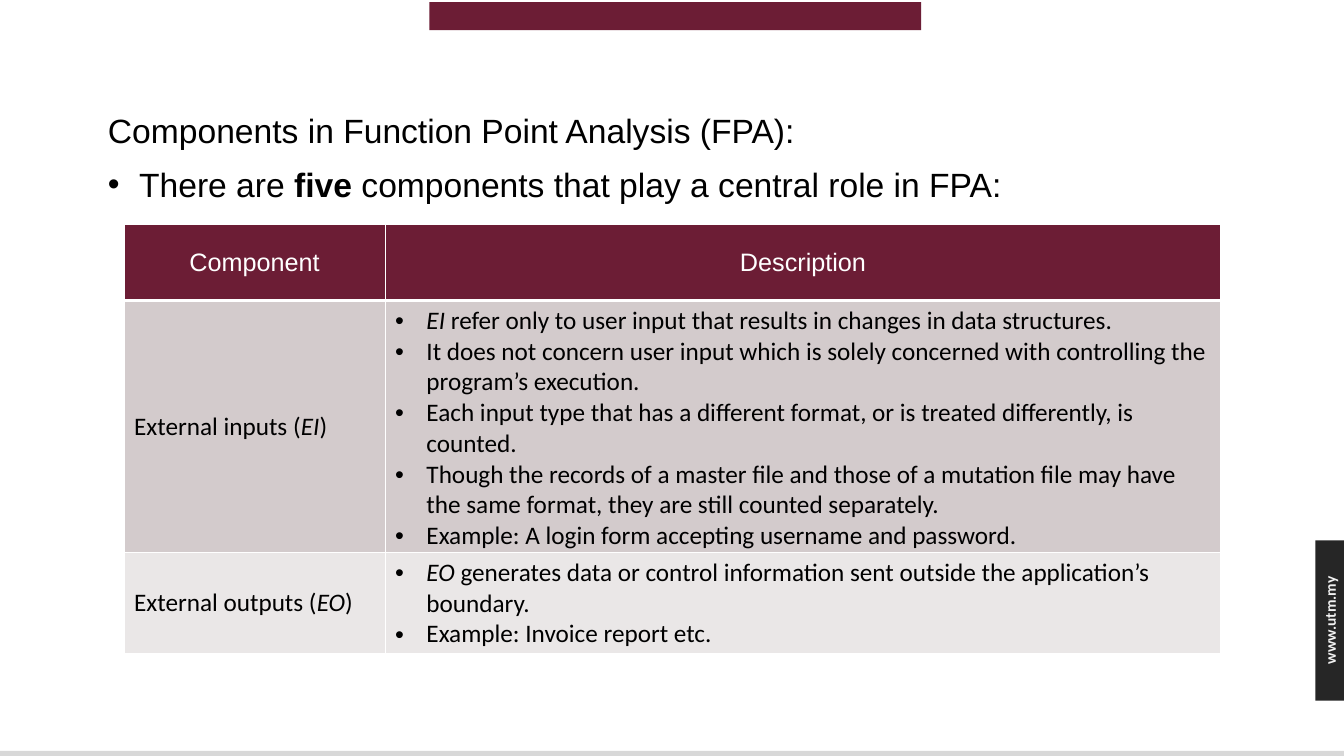
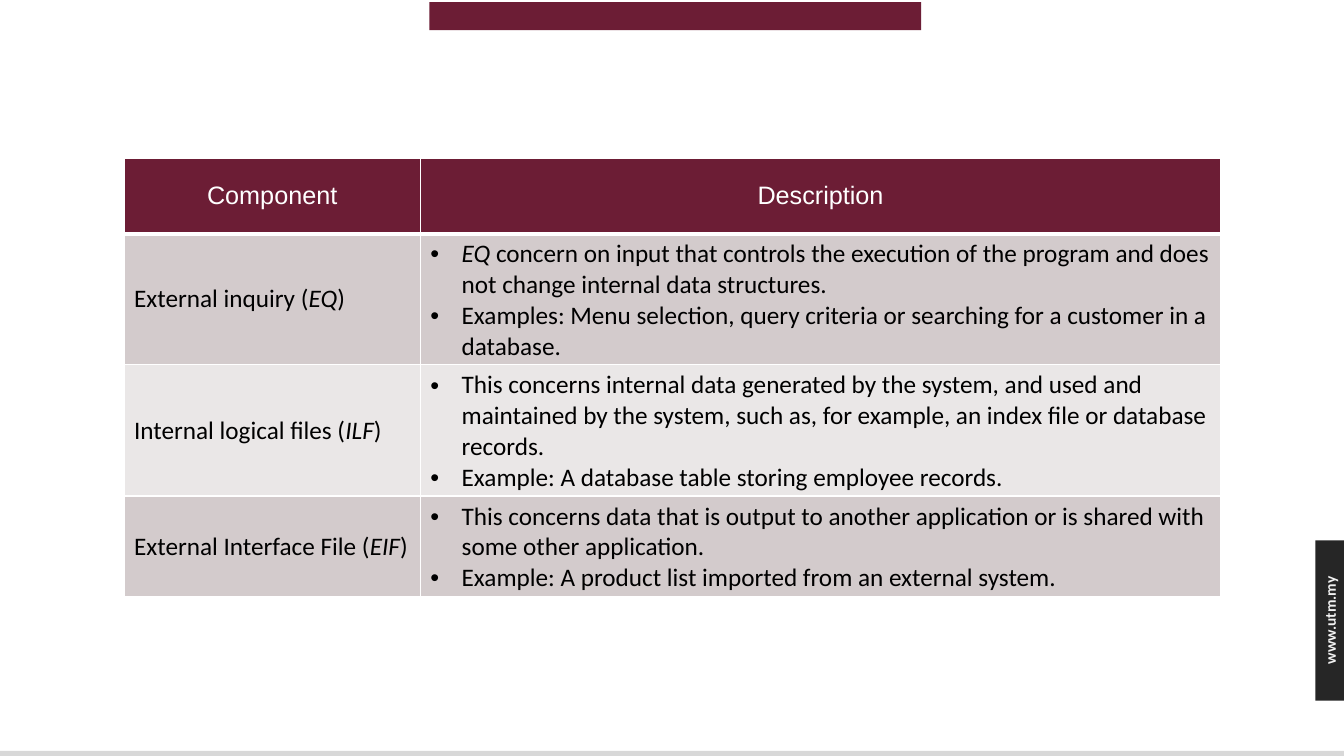
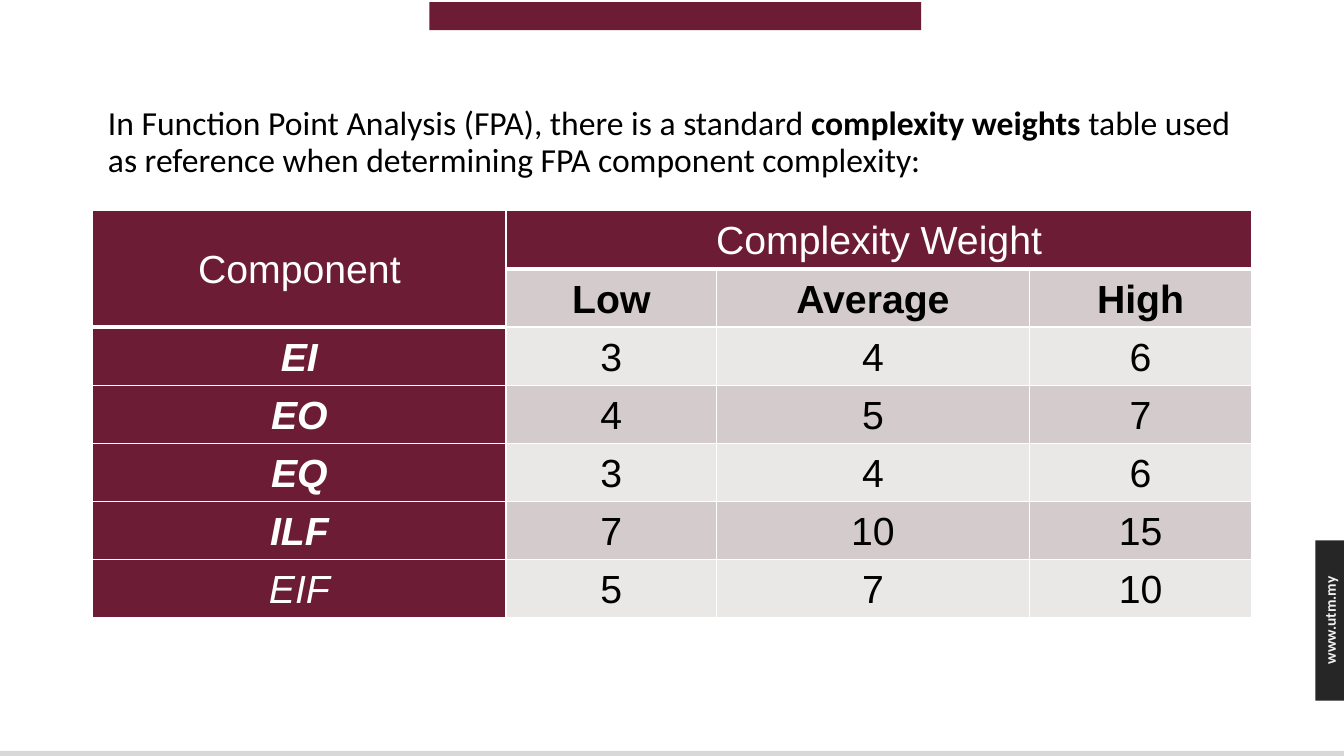
from dataclasses import dataclass, replace
from typing import Optional

from lxml import etree
from pptx import Presentation
from pptx.dml.color import RGBColor
from pptx.enum.shapes import MSO_SHAPE
from pptx.enum.text import MSO_ANCHOR, PP_ALIGN
from pptx.oxml.ns import qn
from pptx.util import Inches, Pt

RECTANGLE = MSO_SHAPE.RECTANGLE
MIDDLE = MSO_ANCHOR.MIDDLE
LEFT, CENTER, JUSTIFY = PP_ALIGN.LEFT, PP_ALIGN.CENTER, PP_ALIGN.JUSTIFY

WIDTH, HEIGHT = Inches(13.33), Inches(7.5)
COLORS = {
    "maroon": "6C1D35",
    "rose": "D3CBCC",
    "pale": "EAE7E7",
    "silver": "D8D8D8",
    "charcoal": "262626",
    "mist": "F2F2F2",
    "white": "FFFFFF",
    "black": "000000",
}
BANDS = ("rose", "pale")
INDENT = Inches(0.31)
THIN, THICK = Pt(1), Pt(3)


@dataclass(frozen=True)
class TextStyle:
    size: int
    font: str = "Calibri"
    color: str = "black"
    align: PP_ALIGN = LEFT
    spacing: Optional[float] = None
    bold: bool = False
    italic: bool = False


BODY = TextStyle(18)
HEADER = TextStyle(18, "Arial", "white", CENTER)
INTRO = TextStyle(24, "Arial", align=JUSTIFY, spacing=1.07)
LEAD = TextStyle(24, spacing=0.9)
WEIGHT = TextStyle(28, "Arial", align=CENTER, spacing=1.07)
WEIGHT_HEADER = replace(WEIGHT, color="white")
ADDRESS = TextStyle(11, color="mist", align=CENTER, bold=True)


def across(percent):
    return round(WIDTH * percent / 100)


def down(percent):
    return round(HEIGHT * percent / 100)


def rgb(name):
    return RGBColor.from_string(COLORS[name])


def bold(text):
    return text, {"bold": True}


def italic(text):
    return text, {"italic": True}


def add_bullet(paragraph):
    properties = paragraph._p.get_or_add_pPr()
    properties.set("marL", str(INDENT))
    properties.set("indent", str(-INDENT))
    color = etree.SubElement(properties, qn("a:buClr"))
    etree.SubElement(color, qn("a:srgbClr"), val=COLORS["black"])
    etree.SubElement(properties, qn("a:buFont"), typeface="Arial")
    etree.SubElement(properties, qn("a:buChar"), char="•")


def write_paragraph(paragraph, pieces, style, bullet=False):
    if bullet:
        add_bullet(paragraph)
    paragraph.alignment = style.align
    if style.spacing:
        paragraph.line_spacing = style.spacing
    for piece in pieces:
        text, changes = (piece, {}) if isinstance(piece, str) else piece
        run_style = replace(style, **changes)
        run = paragraph.add_run()
        run.text = text
        run.font.name = run_style.font
        run.font.size = Pt(run_style.size)
        run.font.bold = run_style.bold
        run.font.italic = run_style.italic
        run.font.color.rgb = rgb(run_style.color)


def write_paragraphs(frame, paragraphs, style, bullet=False):
    for index, pieces in enumerate(paragraphs):
        paragraph = frame.add_paragraph() if index else frame.paragraphs[0]
        write_paragraph(paragraph, pieces, style, bullet)


def add_band(slide, left, top, width, height, color):
    shape = slide.shapes.add_shape(
        RECTANGLE, across(left), down(top), across(width), down(height))
    shape.shadow.inherit = False
    shape.fill.solid()
    shape.fill.fore_color.rgb = rgb(color)
    shape.line.fill.background()


def add_text_box(slide, left, top, width, height, side_margin=0):
    shape = slide.shapes.add_textbox(
        across(left), down(top), across(width), down(height))
    frame = shape.text_frame
    frame.word_wrap = True
    frame.margin_left = frame.margin_right = Inches(side_margin)
    return shape


def add_slide(presentation):
    slide = presentation.slides.add_slide(presentation.slide_layouts[6])
    add_band(slide, 31.95, 0.27, 36.6, 3.73, "maroon")
    add_band(slide, 0, 99.33, 100, 0.67, "silver")
    add_band(slide, 97.87, 71.47, 2.13, 21.2, "charcoal")
    address = add_text_box(slide, 93.3, 80.13, 11.33, 3.87, 0.1)
    address.rotation = 270
    write_paragraphs(address.text_frame, [["www.utm.my"]], ADDRESS)
    return slide


def add_grid(slide, left, top, columns, rows):
    frame = slide.shapes.add_table(
        len(rows), len(columns), across(left), down(top),
        across(sum(columns)), down(sum(rows)))
    table = frame.table
    table.first_row = table.horz_banding = False
    for column, width in zip(table.columns, columns):
        column.width = across(width)
    for row, height in zip(table.rows, rows):
        row.height = down(height)
    return table


def paint_cell(cell, color, top=THIN, bottom=THIN):
    properties = cell._tc.get_or_add_tcPr()
    edges = {"a:lnL": THIN, "a:lnR": THIN, "a:lnT": top, "a:lnB": bottom}
    for edge, width in edges.items():
        line = etree.SubElement(properties, qn(edge), w=str(width))
        fill = etree.SubElement(line, qn("a:solidFill"))
        etree.SubElement(fill, qn("a:srgbClr"), val=COLORS["white"])
    cell.fill.solid()
    cell.fill.fore_color.rgb = rgb(color)
    cell.vertical_anchor = MIDDLE


def fill_cell(cell, paragraphs, style, bullet=False, margins=(0.1, 0.05)):
    cell.margin_left = cell.margin_right = Inches(margins[0])
    cell.margin_top = cell.margin_bottom = Inches(margins[1])
    write_paragraphs(cell.text_frame, paragraphs, style, bullet)


def add_component_table(slide, top, columns, rows, components):
    table = add_grid(slide, 9.23, top, columns, rows)
    for column, title in enumerate(("Component", "Description")):
        cell = table.cell(0, column)
        paint_cell(cell, "maroon", bottom=THICK)
        fill_cell(cell, [[title]], HEADER)
    for row, (name, code, points) in enumerate(components, 1):
        label, description = table.cell(row, 0), table.cell(row, 1)
        for cell in (label, description):
            paint_cell(cell, BANDS[(row - 1) % 2], top=THICK if row == 1 else THIN)
        fill_cell(label, [[f"{name} (", italic(code), ")"]], BODY)
        fill_cell(description, points, BODY, bullet=True)


def add_weight_table(slide, levels, weights):
    table = add_grid(slide, 6.9, 27.87, (30.75, 15.68, 23.25, 16.58),
                     (7.7,) * (len(weights) + 2))
    margins = (0.19, 0)
    table.cell(0, 0).merge(table.cell(1, 0))
    table.cell(0, 1).merge(table.cell(0, 3))
    for row, column in ((0, 0), (1, 0), (0, 1), (0, 2), (0, 3)):
        paint_cell(table.cell(row, column), "maroon", bottom=THICK)
    for column, title in enumerate(("Component", "Complexity Weight")):
        fill_cell(table.cell(0, column), [[title]], WEIGHT_HEADER, margins=margins)
    for column, level in enumerate(levels, 1):
        cell = table.cell(1, column)
        paint_cell(cell, BANDS[0], top=THICK)
        fill_cell(cell, [[bold(level)]], WEIGHT, margins=margins)
    for row, (code, values) in enumerate(weights.items(), 2):
        label = table.cell(row, 0)
        paint_cell(label, "maroon", top=THICK if row == 2 else THIN)
        label_style = replace(WEIGHT_HEADER, italic=True, bold=code != "EIF")
        fill_cell(label, [[code]], label_style, margins=margins)
        for column, value in enumerate(values, 1):
            cell = table.cell(row, column)
            paint_cell(cell, BANDS[(row - 1) % 2])
            fill_cell(cell, [[str(value)]], WEIGHT, margins=margins)


def build_inputs_and_outputs(presentation):
    slide = add_slide(presentation)
    frame = add_text_box(slide, 8.03, 13.47, 83.93, 21.47).text_frame
    write_paragraphs(frame, [["Components in Function Point Analysis (FPA):"]], INTRO)
    point = frame.add_paragraph()
    write_paragraph(point, ["There are ", bold("five"),
                            " components that play a central role in FPA:"],
                    INTRO, bullet=True)
    point.space_before = Pt(8)
    add_component_table(slide, 29.73, (19.43, 62.18), (10, 33.33, 13.33), [
        ("External inputs", "EI", [
            [italic("EI"), " refer only to user input that results in changes in data structures."],
            ["It does not concern user input which is solely concerned with "
             "controlling the program’s execution."],
            ["Each input type that has a different format, or is treated "
             "differently, is counted."],
            ["Though the records of a master file and those of a mutation file "
             "may have the same format, they are still counted separately."],
            ["Example: A login form accepting username and password."],
        ]),
        ("External outputs", "EO", [
            [italic("EO"), " generates data or control information sent outside "
             "the application’s boundary."],
            ["Example: Invoice report etc."],
        ]),
    ])


def build_inquiries_and_files(presentation):
    slide = add_slide(presentation)
    add_component_table(slide, 20.93, (22.05, 59.55), (10, 17.33, 17.33, 13.33), [
        ("External inquiry", "EQ", [
            [italic("EQ"), " concern on input that controls the execution of the "
             "program and does not change internal data structures."],
            ["Examples: Menu selection, query criteria or searching for a "
             "customer in a database."],
        ]),
        ("Internal logical files", "ILF", [
            ["This concerns internal data generated by the system, and used and "
             "maintained by the system, such as, for example, an index file or "
             "database records."],
            ["Example: A database table storing employee records."],
        ]),
        ("External Interface File", "EIF", [
            ["This concerns data that is output to another application or is "
             "shared with some other application."],
            ["Example: A product list imported from an external system."],
        ]),
    ])


def build_complexity_weights(presentation):
    slide = add_slide(presentation)
    add_weight_table(slide, ("Low", "Average", "High"), {
        "EI": (3, 4, 6),
        "EO": (4, 5, 7),
        "EQ": (3, 4, 6),
        "ILF": (7, 10, 15),
        "EIF": (5, 7, 10),
    })
    frame = add_text_box(slide, 8.03, 13.47, 83.93, 11.07).text_frame
    write_paragraphs(frame, [[
        "In Function Point Analysis (FPA), there is a standard",
        bold(" complexity weights "),
        "table used as reference when determining FPA component complexity:",
    ]], LEAD)


def main():
    presentation = Presentation()
    presentation.slide_width, presentation.slide_height = WIDTH, HEIGHT
    build_inputs_and_outputs(presentation)
    build_inquiries_and_files(presentation)
    build_complexity_weights(presentation)
    presentation.save("out.pptx")


if __name__ == "__main__":
    main()
